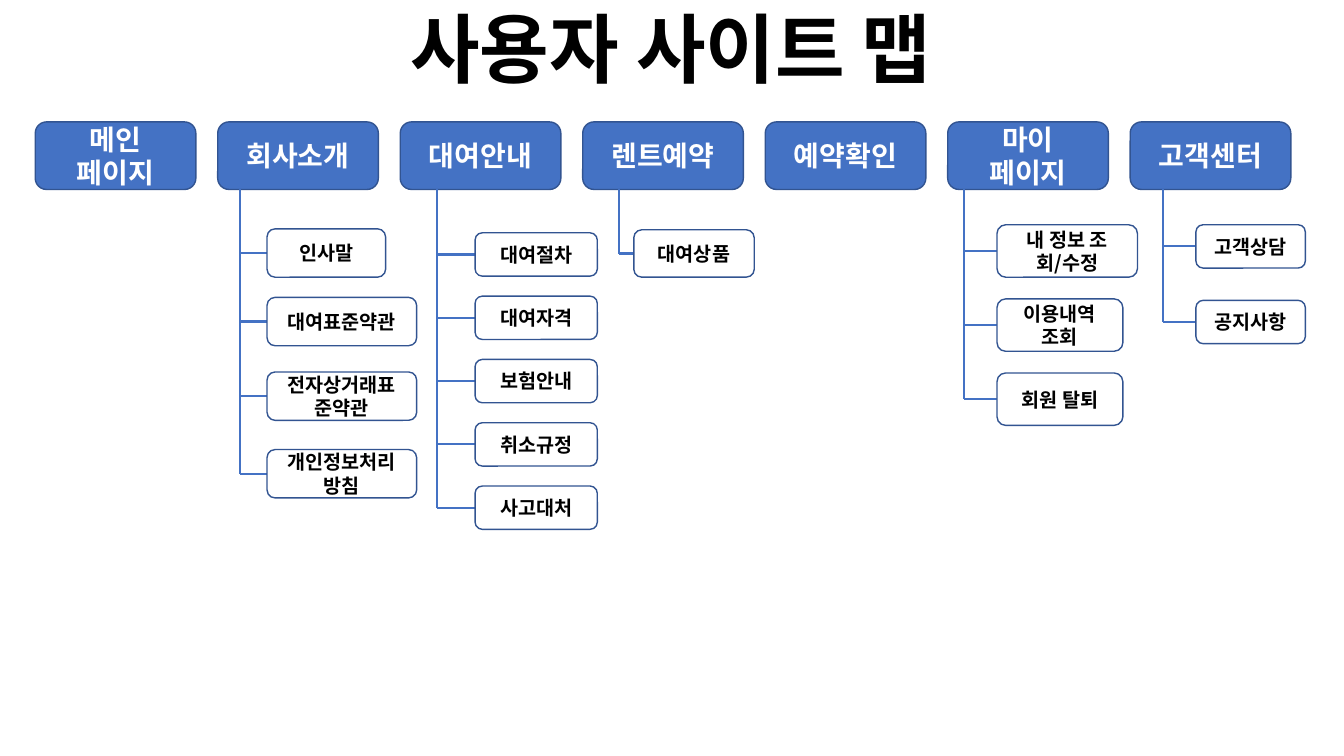
"""Build the user site map slide: seven menus with their sub-pages."""
import lxml.etree
import pptx
import pptx.dml.color
import pptx.enum.shapes
import pptx.enum.text
import pptx.oxml.ns
import pptx.util

BLUE = pptx.dml.color.RGBColor(0x44, 0x72, 0xC4)
NAVY = pptx.dml.color.RGBColor(0x32, 0x54, 0x91)
WHITE = pptx.dml.color.RGBColor(0xFF, 0xFF, 0xFF)
BLACK = pptx.dml.color.RGBColor(0x00, 0x00, 0x00)

MENU_TOP, MENU_WIDTH, MENU_HEIGHT = 12.1, 0.88, 6.7


class SiteMap:
    """Hold the style and slide; lengths are menu columns and tenth-inch rows."""

    font_name = "Noto Sans CJK KR"
    margin, column, row = 0.35, 1.81, 0.1

    def __init__(self, slide):
        self.slide = slide

    def x(self, columns):
        return pptx.util.Inches(self.margin + columns * self.column)

    def y(self, rows):
        return pptx.util.Inches(rows * self.row)

    def area(self, left, top, width, height):
        return (self.x(left), self.y(top),
                pptx.util.Inches(width * self.column), self.y(height))

    def label(self, shape, text, size, color, alignment):
        frame = shape.text_frame
        frame.word_wrap = True
        frame.text = text
        for paragraph in frame.paragraphs:
            paragraph.alignment = alignment
            for run in paragraph.runs:
                run.font.name = self.font_name
                run.font.size = pptx.util.Pt(size)
                run.font.bold = True
                run.font.color.rgb = color
                east_asian = lxml.etree.SubElement(
                    run.font._element, pptx.oxml.ns.qn("a:ea"))
                east_asian.set("typeface", self.font_name)

    def title(self, text, left, top, width, height):
        shape = self.slide.shapes.add_textbox(*self.area(left, top, width, height))
        self.label(shape, text, 54, BLACK, pptx.enum.text.PP_ALIGN.LEFT)
        shape.text_frame.auto_size = pptx.enum.text.MSO_AUTO_SIZE.SHAPE_TO_FIT_TEXT

    def box(self, text, left, top, width, height, size, fill, color):
        shape = self.slide.shapes.add_shape(
            pptx.enum.shapes.MSO_SHAPE.ROUNDED_RECTANGLE,
            *self.area(left, top, width, height))
        shape.shadow.inherit = False
        shape.fill.solid()
        shape.fill.fore_color.rgb = fill
        shape.line.color.rgb = NAVY
        shape.line.width = pptx.util.Pt(1)
        self.label(shape, text, size, color, pptx.enum.text.PP_ALIGN.CENTER)
        shape.text_frame.vertical_anchor = pptx.enum.text.MSO_ANCHOR.MIDDLE

    def line(self, left, top, right, bottom):
        connector = self.slide.shapes.add_connector(
            pptx.enum.shapes.MSO_CONNECTOR.STRAIGHT,
            self.x(left), self.y(top), self.x(right), self.y(bottom))
        connector.line.color.rgb = BLUE
        connector.line.width = pptx.util.Pt(1.5)
        lxml.etree.SubElement(
            connector._element.spPr, pptx.oxml.ns.qn("a:effectLst"))

    def menu(self, index, text):
        self.box(text, index, MENU_TOP, MENU_WIDTH, MENU_HEIGHT, 20, BLUE, WHITE)

    def branch(self, index, trunk, left, height, tops, pages):
        trunk, left = index + trunk, index + left
        middles = [top + height / 2 for top in tops]
        self.line(trunk, MENU_TOP + MENU_HEIGHT, trunk, middles[-1])
        for top, middle, (text, width) in zip(tops, middles, pages):
            self.line(trunk, middle, left, middle)
            self.box(text, left, top, width, height, 14, WHITE, BLACK)


def steps(first, step, count):
    return [first + step * number for number in range(count)]


MENUS = ["메인\n페이지", "회사소개", "대여안내", "렌트예약",
         "예약확인", "마이\n페이지", "고객센터"]

BRANCHES = [
    (1, 0.12, 0.27, 4.8, [22.7, 29.5, 36.9, 44.6],
     [("인사말", 0.65), ("대여표준약관", 0.82),
      ("전자상거래표준약관", 0.82), ("개인정보처리방침", 0.82)]),
    (2, 0.2, 0.41, 4.3, steps(23.1, 6.28, 5),
     [(text, 0.67) for text in
      ("대여절차", "대여자격", "보험안내", "취소규정", "사고대처")]),
    (3, 0.2, 0.28, 4.7, [22.8], [("대여상품", 0.66)]),
    (5, 0.09, 0.27, 5.2, steps(22.3, 7.35, 3),
     [("내 정보 조회/수정", 0.77), ("이용내역 조회", 0.69), ("회원 탈퇴", 0.69)]),
    (6, 0.18, 0.36, 4.3, steps(22.3, 7.5, 2),
     [("고객상담", 0.6), ("공지사항", 0.6)]),
]

presentation = pptx.Presentation()
presentation.slide_width = pptx.util.Inches(13.33)
presentation.slide_height = pptx.util.Inches(7.5)
site_map = SiteMap(presentation.slides.add_slide(presentation.slide_layouts[6]))

site_map.title("사용자 사이트 맵", 2, -0.3, 3.71, 10.1)
for index, text in enumerate(MENUS):
    site_map.menu(index, text)
for branch in BRANCHES:
    site_map.branch(*branch)

presentation.save("out.pptx")
